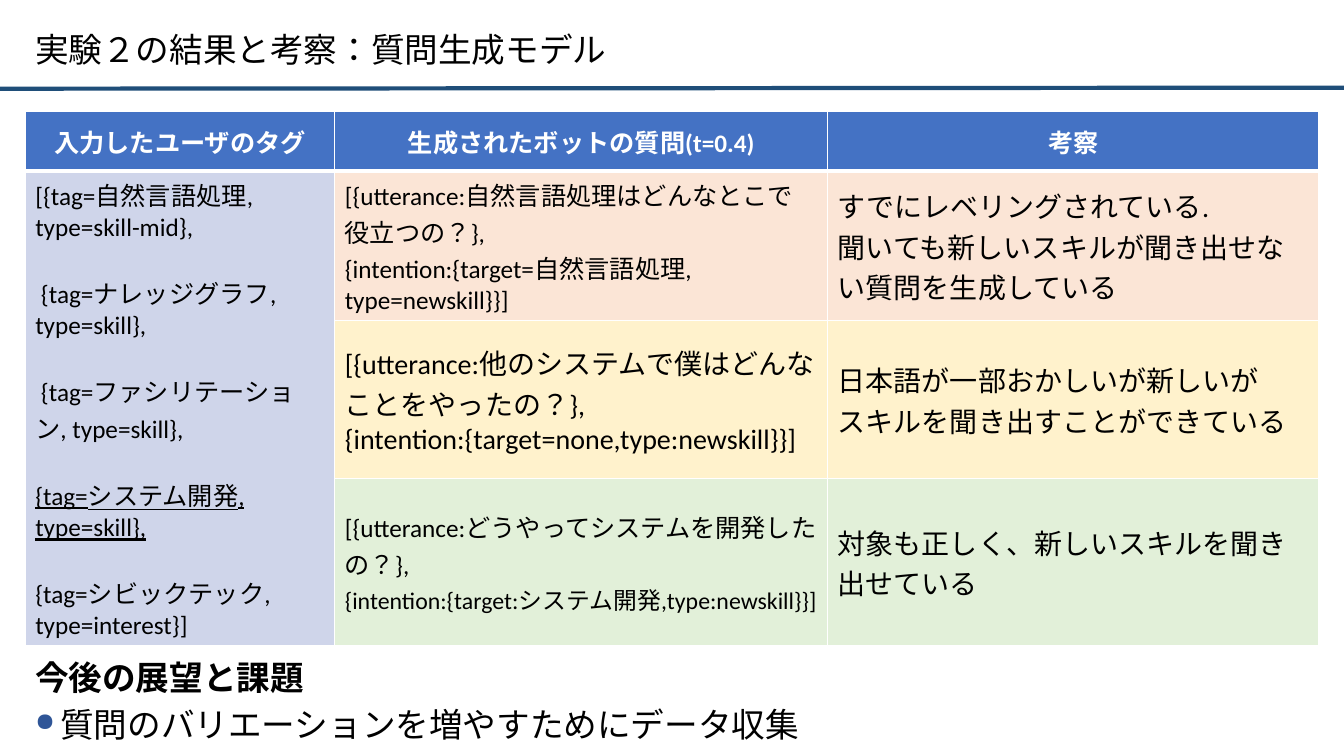
from dataclasses import dataclass

from lxml.etree import SubElement
from pptx import Presentation
from pptx.dml.color import RGBColor
from pptx.enum.lang import MSO_LANGUAGE_ID as Language
from pptx.enum.shapes import MSO_CONNECTOR
from pptx.enum.text import MSO_ANCHOR as Anchor, PP_ALIGN as Align
from pptx.oxml import parse_xml
from pptx.oxml.ns import nsdecls, qn
from pptx.util import Inches, Pt

FONT = "Calibri"
BLACK, WHITE = "000000", "FFFFFF"
HEADER_FILL, TAG_FILL = "4472C4", "CFD5EA"
RULE_COLOR, BULLET_COLOR = "1F4E79", "2F5597"
COLUMN_WIDTHS = (3.07, 4.89, 4.87)
ROW_HEIGHTS = (0.59, 1.48, 1.57, 1.66)
HEADERS = ("入力したユーザのタグ", "生成されたボットの質問(t=0.4)", "考察")


@dataclass(frozen=True)
class Line:
    """One paragraph; a newline in the text is a line break."""
    text: str
    size: float = 18
    underline: bool = False
    space_before: float = 0


@dataclass(frozen=True)
class Result:
    fill: str
    question: tuple[Line, ...]
    remark: tuple[Line, ...]


TAGS = (
    Line("[{tag=自然言語処理, type=skill-mid},"),
    Line(" {tag=ナレッジグラフ, type=skill},", space_before=22),
    Line(" {tag=ファシリテーション, type=skill},", space_before=22),
    Line("{tag=システム開発, type=skill},", underline=True, space_before=22),
    Line("{tag=シビックテック, type=interest}]", space_before=22),
)
RESULTS = (
    Result(
        "FBE5D6",
        (Line("[{utterance:自然言語処理はどんなとこで\n役立つの？},\n"
              "{intention:{target=自然言語処理,\ntype=newskill}}]"),),
        (Line("すでにレベリングされている.", 20),
         Line("聞いても新しいスキルが聞き出せない質問を生成している", 20)),
    ),
    Result(
        "FFF2CC",
        (Line("[{utterance:他のシステムで僕はどんなことをやったの？},\n"
              "{intention:{target=none,type:newskill}}]", 20),),
        (Line("日本語が一部おかしいが新しいが\nスキルを聞き出すことができている", 20),),
    ),
    Result(
        "E2F0D9",
        (Line("[{utterance:どうやってシステムを開発したの？},"),
         Line("{intention:{target:システム開発,type:newskill}}]", 17)),
        (Line("対象も正しく、新しいスキルを聞き出せている", 20),),
    ),
)


def rgb(value: str) -> RGBColor:
    return RGBColor.from_string(value)


def write(paragraph, text: str, *, size: float, color: str = BLACK, bold: bool = False,
          underline: bool = False, align=Align.LEFT, line_spacing: float = 1.0,
          space_before: float = 0) -> None:
    paragraph.alignment = align
    paragraph.line_spacing = line_spacing
    paragraph.space_before = Pt(space_before)
    for index, part in enumerate(text.split("\n")):
        if index:
            paragraph.add_line_break()
        run = paragraph.add_run()
        run.text = part
        font = run.font
        font.name, font.size, font.bold = FONT, Pt(size), bold
        font.underline = underline
        font.language_id = Language.JAPANESE
        font.color.rgb = rgb(color)


def add_text_frame(slide, left: float, top: float, width: float, height: float, anchor):
    frame = slide.shapes.add_textbox(
        Inches(left), Inches(top), Inches(width), Inches(height)).text_frame
    frame.word_wrap = True
    frame.vertical_anchor = anchor
    return frame


def add_bullet(paragraph, color: str) -> None:
    properties = paragraph._p.get_or_add_pPr()
    properties.set("marL", str(Inches(0.25)))
    properties.set("indent", str(Inches(-0.25)))
    bullet_color = SubElement(properties, qn("a:buClr"))
    SubElement(bullet_color, qn("a:srgbClr")).set("val", color)
    SubElement(properties, qn("a:buSzPct")).set("val", "75000")
    SubElement(properties, qn("a:buChar")).set("char", "●")


def set_borders(cell, top: float, bottom: float) -> None:
    properties = cell._tc.get_or_add_tcPr()
    sides = (("L", 1), ("R", 1), ("T", top), ("B", bottom))
    for index, (side, width) in enumerate(sides):
        properties.insert(index, parse_xml(
            f'<a:ln{side} {nsdecls("a")} w="{Pt(width)}"><a:solidFill>'
            f'<a:srgbClr val="{WHITE}"/></a:solidFill></a:ln{side}>'))


def fill_cell(cell, fill: str, lines: tuple[Line, ...], **text_format) -> None:
    cell.fill.solid()
    cell.fill.fore_color.rgb = rgb(fill)
    cell.vertical_anchor = Anchor.MIDDLE
    frame = cell.text_frame
    for index, line in enumerate(lines):
        paragraph = frame.add_paragraph() if index else frame.paragraphs[0]
        write(paragraph, line.text, size=line.size, underline=line.underline,
              space_before=line.space_before, **text_format)


def add_heading(slide) -> None:
    rule = slide.shapes.add_connector(
        MSO_CONNECTOR.STRAIGHT, Inches(0), Inches(0.88), Inches(13.33), Inches(0.87))
    rule.line.color.rgb = rgb(RULE_COLOR)
    rule.line.width = Pt(3)
    SubElement(rule._element.spPr, qn("a:effectLst"))
    frame = add_text_frame(slide, 0.25, 0.15, 11.5, 0.72, Anchor.MIDDLE)
    write(frame.paragraphs[0], "実験２の結果と考察：質問生成モデル", size=24, line_spacing=0.9)


def add_result_table(slide) -> None:
    table = slide.shapes.add_table(
        len(ROW_HEIGHTS), len(COLUMN_WIDTHS), Inches(0.25), Inches(1.11),
        Inches(sum(COLUMN_WIDTHS)), Inches(sum(ROW_HEIGHTS))).table
    table.horz_banding = False
    for column, width in zip(table.columns, COLUMN_WIDTHS):
        column.width = Inches(width)
    for row, height in zip(table.rows, ROW_HEIGHTS):
        row.height = Inches(height)

    for column, header in enumerate(HEADERS):
        fill_cell(table.cell(0, column), HEADER_FILL, (Line(header),),
                  color=WHITE, bold=True, align=Align.CENTER)
    table.cell(1, 0).merge(table.cell(len(RESULTS), 0))
    fill_cell(table.cell(1, 0), TAG_FILL, TAGS)
    for row, result in enumerate(RESULTS, start=1):
        fill_cell(table.cell(row, 1), result.fill, result.question)
        fill_cell(table.cell(row, 2), result.fill, result.remark)

    for row in range(len(ROW_HEIGHTS)):
        for column in range(len(COLUMN_WIDTHS)):
            set_borders(table.cell(row, column),
                        top=3 if row == 1 else 1, bottom=3 if row == 0 else 1)


def add_outlook(slide) -> None:
    frame = add_text_frame(slide, 0.25, 6.55, 11.93, 0.95, Anchor.TOP)
    write(frame.paragraphs[0], "今後の展望と課題", size=24, bold=True, line_spacing=0.8)
    task = frame.add_paragraph()
    write(task, "質問のバリエーションを増やすためにデータ収集", size=24,
          line_spacing=0.8, space_before=10)
    add_bullet(task, BULLET_COLOR)


def main() -> None:
    presentation = Presentation()
    presentation.slide_width = Inches(13.33)
    presentation.slide_height = Inches(7.5)
    slide = presentation.slides.add_slide(presentation.slide_layouts[6])
    add_heading(slide)
    add_outlook(slide)
    add_result_table(slide)
    presentation.save("out.pptx")


if __name__ == "__main__":
    main()
